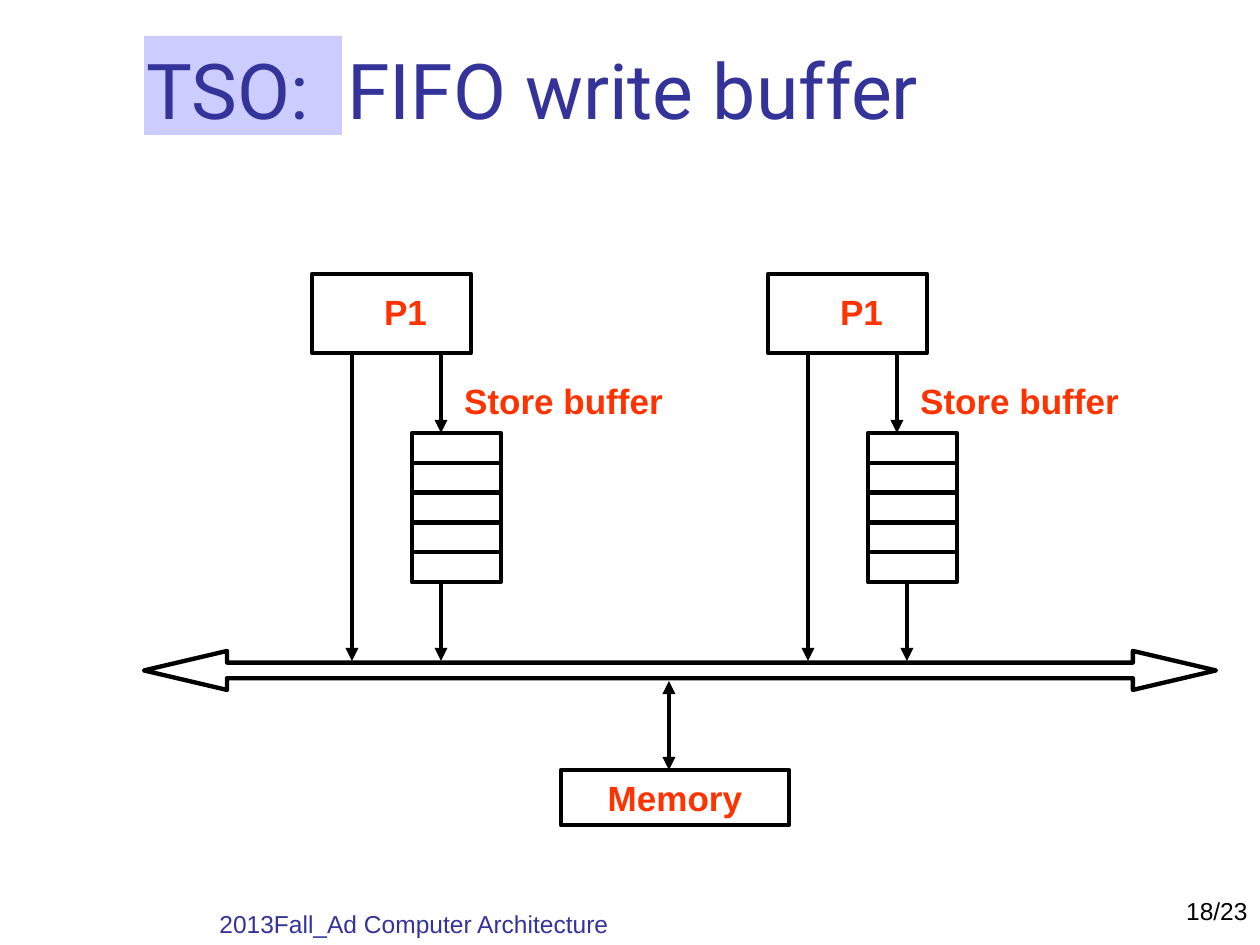
from lxml import etree
from pptx import Presentation
from pptx.dml.color import RGBColor
from pptx.enum.shapes import MSO_CONNECTOR as CONNECTOR, MSO_SHAPE as SHAPE
from pptx.enum.text import MSO_ANCHOR as ANCHOR, PP_ALIGN as ALIGN
from pptx.oxml.ns import qn
from pptx.util import Pt

COLORS = {"black": "000000", "navy": "333399", "lavender": "CCCCFF", "red": "FF3300"}
LINE_WIDTH = Pt(2.5)


def px(value):
    return round(value * 914400 / 126)


def write(shape, text, size=20, color="red", font="Arial", bold=False,
          align=ALIGN.CENTER, anchor=ANCHOR.MIDDLE):
    frame = shape.text_frame
    frame.word_wrap = True
    frame.vertical_anchor = anchor
    paragraph = frame.paragraphs[0]
    paragraph.alignment = align
    run = paragraph.add_run()
    run.text = text
    run.font.size = Pt(size)
    run.font.name = font
    run.font.bold = bold
    run.font.color.rgb = RGBColor.from_string(COLORS[color])


def draw_line(x1, y1, x2, y2, heads=()):
    line = slide.shapes.add_connector(CONNECTOR.STRAIGHT, px(x1), px(y1), px(x2), px(y2))
    line.line.width = LINE_WIDTH
    line.line.color.rgb = RGBColor.from_string(COLORS["black"])
    for head in heads:
        etree.SubElement(line.line._get_or_add_ln(), qn(f"a:{head}"), type="triangle")
    etree.SubElement(line._element.spPr, qn("a:effectLst"))


presentation = Presentation()
presentation.slide_width, presentation.slide_height = px(1260), px(945)
slide = presentation.slides.add_slide(presentation.slide_layouts[6])

# Title block, title, page number and footer
block = slide.shapes.add_shape(SHAPE.RECTANGLE, px(144), px(36), px(198), px(99))
block.shadow.inherit = False
block.fill.solid()
block.fill.fore_color.rgb = RGBColor.from_string(COLORS["lavender"])
block.line.fill.background()

title = slide.shapes.add_textbox(px(134), px(35), px(1101), px(106))
write(title, "TSO:  FIFO write buffer", size=44, color="navy", font="Roboto",
      align=ALIGN.LEFT, anchor=ANCHOR.BOTTOM)
page_number = slide.shapes.add_textbox(px(998), px(890), px(262), px(55))
write(page_number, "18/23", size=14, color="black", align=ALIGN.RIGHT, anchor=ANCHOR.TOP)
footer = slide.shapes.add_textbox(px(207), px(882), px(483), px(63))
write(footer, "2013Fall_Ad Computer Architecture", size=14, color="navy",
      align=ALIGN.LEFT, anchor=ANCHOR.BOTTOM)

# Outlined shapes: bus, memory, then a processor and a store buffer on each side
SIDES = [0, 456]
BUFFER_LEFT, BUFFER_TOP, BUFFER_WIDTH, SLOT_HEIGHT, SLOTS = 412, 433, 89, 30, 5
BUFFER_HEIGHT = SLOT_HEIGHT * SLOTS - 1
outlines = [(SHAPE.LEFT_RIGHT_ARROW, 144, 651, 1072, 39, ""),
            (SHAPE.RECTANGLE, 561, 770, 228, 55, "Memory")]
for offset in SIDES:
    outlines += [(SHAPE.RECTANGLE, 312 + offset, 274, 159, 79, ""),
                 (SHAPE.RECTANGLE, BUFFER_LEFT + offset, BUFFER_TOP,
                  BUFFER_WIDTH, BUFFER_HEIGHT, "")]

for kind, left, top, width, height, text in outlines:
    shape = slide.shapes.add_shape(kind, px(left), px(top), px(width), px(height))
    shape.shadow.inherit = False
    shape.fill.background()
    shape.line.width = LINE_WIDTH
    shape.line.color.rgb = RGBColor.from_string(COLORS["black"])
    if kind == SHAPE.LEFT_RIGHT_ARROW:
        shape.adjustments[0], shape.adjustments[1] = 0.4, 2.13
    if text:
        write(shape, text, bold=True)

# Labels, buffer slots and paths to the bus
for offset, drain_x in zip(SIDES, [441, 907]):
    for text, left, top, width in [("P1", 315, 284, 181), ("Store buffer", 404, 373, 319)]:
        label = slide.shapes.add_textbox(px(left + offset), px(top), px(width), px(55))
        write(label, text, bold=True)

    buffer_left = BUFFER_LEFT + offset
    for slot in range(1, SLOTS):
        slot_y = BUFFER_TOP + slot * BUFFER_HEIGHT / SLOTS
        draw_line(buffer_left, slot_y, buffer_left + BUFFER_WIDTH, slot_y)

    draw_line(352 + offset, 354, 352 + offset, 661, ["tailEnd"])
    draw_line(441 + offset, 354, 441 + offset, 433, ["tailEnd"])
    draw_line(drain_x, 582, drain_x, 661, ["tailEnd"])

# Path between memory and bus
draw_line(669, 681, 669, 770, ["headEnd", "tailEnd"])

presentation.save("out.pptx")
